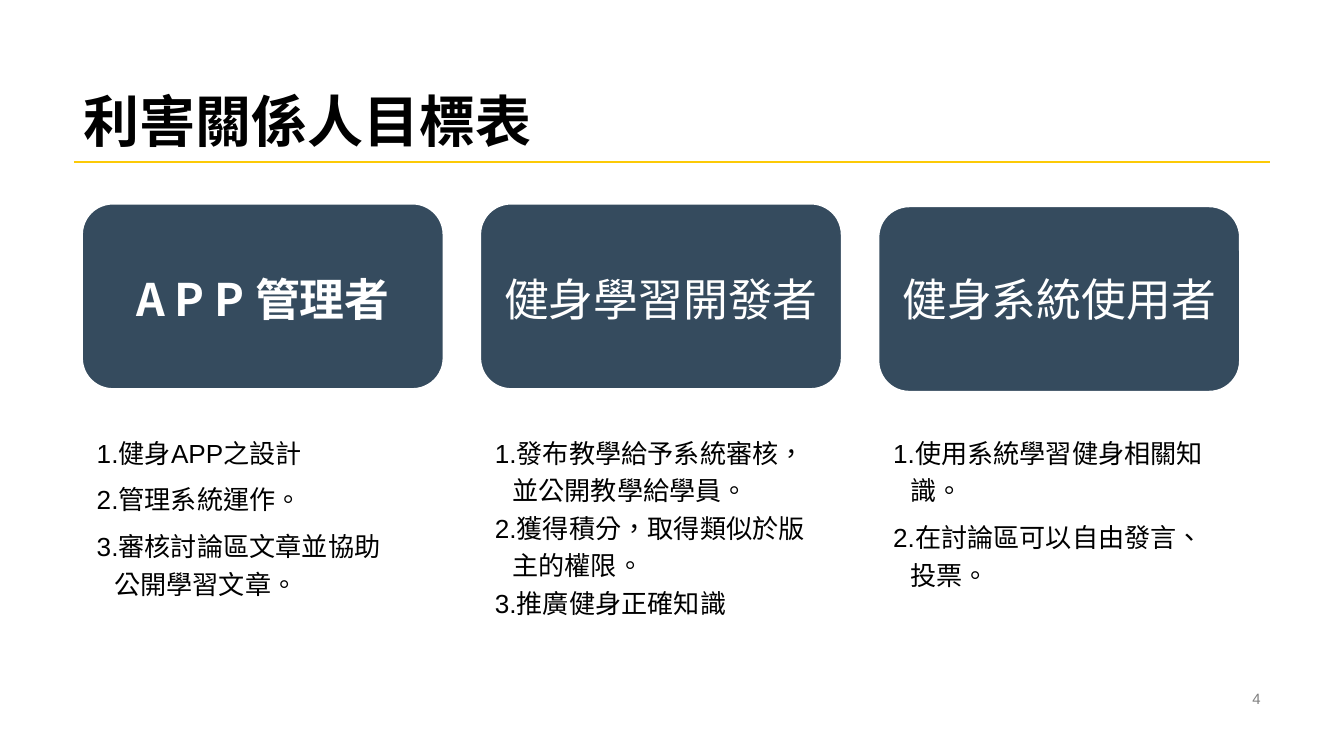
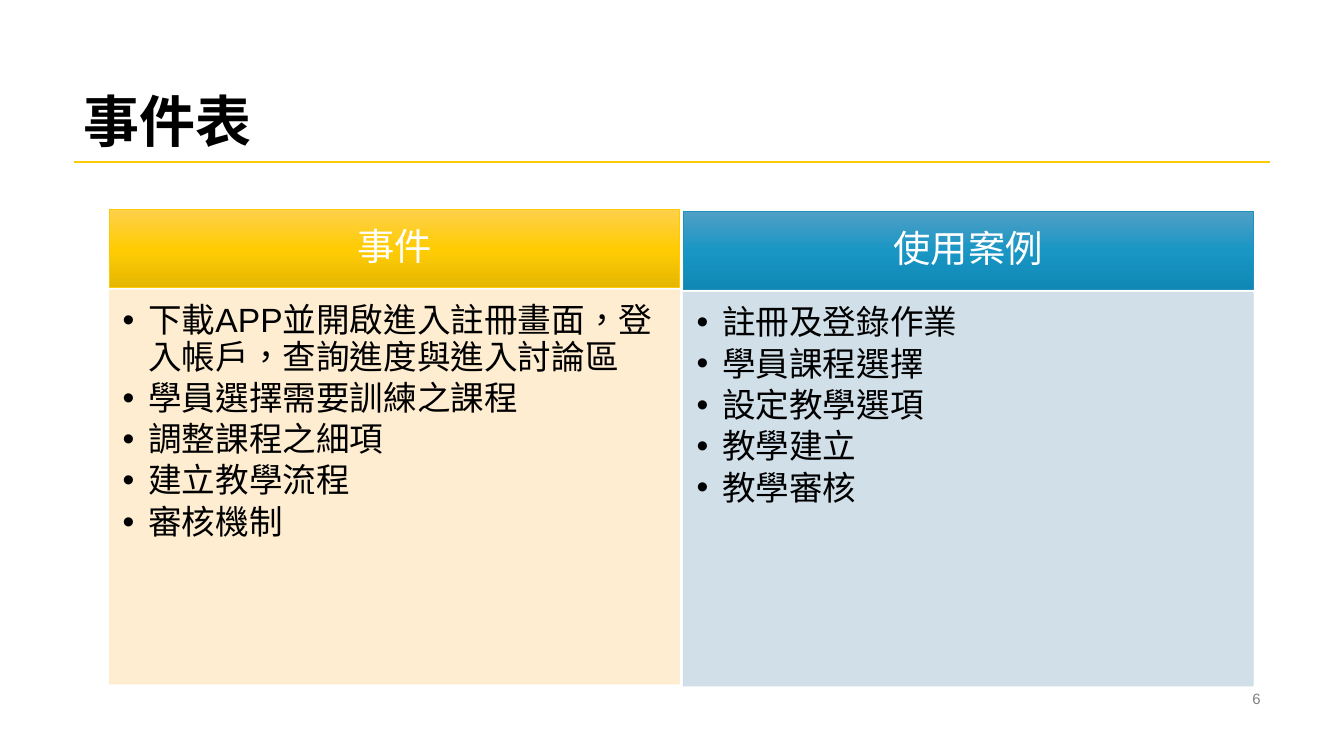
"""Build two slides: stakeholder goals and an event table."""
from copy import deepcopy
from lxml import etree
from pptx import Presentation
from pptx import util as u
from pptx.dml.color import RGBColor
from pptx.enum import shapes, text
from pptx.oxml.ns import qn

deck = Presentation()
deck.slide_width = u.Inches(10)
deck.slide_height = deck.slide_width * 9 // 16
cell = deck.slide_width / 100
left, wide = 5.5, 89
gold, navy, white, black, gray = "FCCA07", "354B5E", "FFFFFF", "000000", "808080"
mid, top, low = text.MSO_ANCHOR.MIDDLE, text.MSO_ANCHOR.TOP, text.MSO_ANCHOR.BOTTOM
start, mean, end = text.PP_ALIGN.LEFT, text.PP_ALIGN.CENTER, text.PP_ALIGN.RIGHT
slim = (0.7, 0.4, 0.7, 0.4)


def hue(code):
    return RGBColor.from_string(code)


def put(page, kind, area, lines, size, ink, pads, anchor, align=start,
        lead=1.0, after=0, hang=0, bold=False, face="Arial"):
    spot = [round(n * cell) for n in area]
    if kind:
        shape = page.shapes.add_shape(kind, *spot)
        shape.shadow.inherit = False
    else:
        shape = page.shapes.add_textbox(*spot)
    frame = shape.text_frame
    frame.word_wrap = True
    frame.vertical_anchor = anchor
    (frame.margin_left, frame.margin_top,
     frame.margin_right, frame.margin_bottom) = [round(n * cell) for n in pads]
    frame.text = "\n".join(lines)
    for para in frame.paragraphs:
        para.alignment = align
        para.line_spacing = lead
        para.space_after = u.Pt(after)
        if hang:
            props = para._p.get_or_add_pPr()
            props.set("marL", str(round(hang * cell)))
            props.set("indent", str(round(-hang * cell)))
        for run in para.runs:
            run.font.size = u.Pt(size)
            run.font.name = face
            run.font.bold = bold
            run.font.color.rgb = hue(ink)
            run._r.get_or_add_rPr().set("lang", "zh-TW")
    return shape


pages = []
for title, number in (("利害關係人目標表", "4"), ("事件表", "6")):
    page = deck.slides.add_slide(deck.slide_layouts[6])
    rule = page.shapes.add_connector(
        shapes.MSO_CONNECTOR.STRAIGHT,
        *[round(n * cell) for n in (left, 12.05, left + wide, 12.05)])
    rule.line.color.rgb = hue(gold)
    rule.line.width = u.Pt(1.5)
    etree.SubElement(rule._element.spPr, qn("a:effectLst"))
    put(page, None, (left, 0, wide, 11.9), [title], 30, black, slim, low,
        lead=0.9, bold=True)
    put(page, None, (70.6, 51.15, 23.9, 1.7), [number], 8, gray, slim, mid, end)
    pages.append(page)

goals, events = pages

roles = (
    ("A P P 管理者", 15.15, True, "Noto Sans CJK SC", 4.9,
     ["1.健身APP之設計", "2.管理系統運作。",
      "3.審核討論區文章並協助\v公開學習文章。"]),
    ("健身學習開發者", 15.15, False, "Arial", 0,
     ["1.發布教學給予系統審核，\v並公開教學給學員。",
      "2.獲得積分，取得類似於版\v主的權限。", "3.推廣健身正確知識"]),
    ("健身系統使用者", 15.35, False, "Arial", 4.9,
     ["1.使用系統學習健身相關知\v識。",
      "2.在討論區可以自由發言、\v投票。"]),
)
for col, (role, row, bold, face, after, aims) in enumerate(roles):
    x = 6.1 + col * 29.63
    card = put(goals, shapes.MSO_SHAPE.ROUNDED_RECTANGLE, (x, row, 26.9, 13.8),
               [role], 24, white, (0, 0.3, 0, 2 * (row - 15.15)), mid, mean,
               bold=bold, face=face)
    card.fill.solid()
    card.fill.fore_color.rgb = hue(navy)
    card.line.color.rgb = hue(white)
    card.line.width = u.Pt(1)
    put(goals, None, (x, 30.95, 26.9, 10), aims, 14, black, (1.1, 1.1, 1.1, 0),
        top, lead=1.2, after=after, hang=1.3)

lists = (
    ("事件", 15.6, ("FFD04B", "FFCC04", "E5B601"), gold, "FEECCC",
     ["下載APP並開啟進入註冊畫面，登入帳戶，查詢進度與進入討論區",
      "學員選擇需要訓練之課程", "調整課程之細項", "建立教學流程", "審核機制"]),
    ("使用案例", 15.75, ("4F9FC6", "1996C4", "1088B5"), "2192BC", "CDDCE7",
     ["註冊及登錄作業", "學員課程選擇", "設定教學選項", "教學建立", "教學審核"]),
)
box = shapes.MSO_SHAPE.RECTANGLE
for col, (name, row, tones, edge, tint, items) in enumerate(lists):
    x = 8.15 + col * 42.7
    head = put(events, box, (x, row, 42.4, 5.8), [name], 20, white,
               (1.6, 0.9, 1.6, 0.9), mid, mean, lead=0.9, after=7)
    head.fill.gradient()
    head.fill.gradient_angle = 270
    stops = head._element.spPr.find(qn("a:gradFill")).find(qn("a:gsLst"))
    stops.append(deepcopy(stops[0]))
    for step, (stop, tone) in enumerate(zip(head.fill.gradient_stops, tones)):
        stop.position = step / 2
        stop.color.rgb = hue(tone)
    head.line.color.rgb = hue(edge)
    head.line.width = u.Pt(0.5)

    body = put(events, box, (x, row + 6, 42.4, 29.3), items, 18, black,
               (1, 1, 1.4, 1.6), top, lead=0.9, after=2.7, hang=1.9)
    body.fill.solid()
    body.fill.fore_color.rgb = hue(tint)
    body.line.color.rgb = hue(tint)
    body.line.width = u.Pt(0.5)
    for paint in body._element.spPr.iter(qn("a:srgbClr")):
        etree.SubElement(paint, qn("a:alpha")).set("val", "90000")
    for para in body.text_frame.paragraphs:
        props = para._p.get_or_add_pPr()
        etree.SubElement(props, qn("a:buFont")).set("typeface", "Arial")
        etree.SubElement(props, qn("a:buChar")).set("char", "•")

deck.save("out.pptx")
